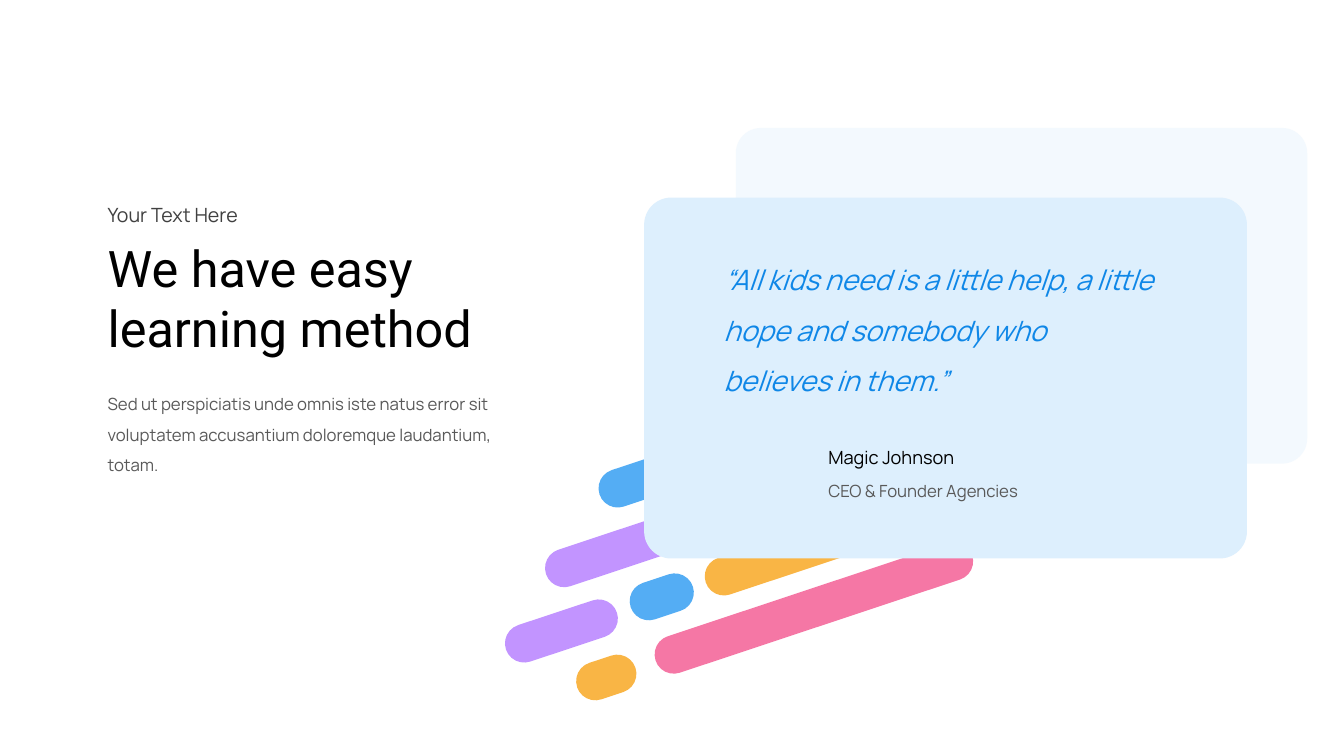
from dataclasses import dataclass
from lxml.etree import SubElement
from pptx import Presentation
from pptx.dml.color import RGBColor
from pptx.enum.shapes import MSO_SHAPE
from pptx.enum.text import MSO_AUTO_SIZE
from pptx.oxml.ns import qn
from pptx.util import Pt


@dataclass(frozen=True)
class Theme:
    head: str = "Roboto"
    body: str = "Manrope"
    black: str = "000000"
    dark: str = "404040"
    gray: str = "595959"
    quote: str = "0F87E7"
    card: str = "DDEFFD"
    blue: str = "54ADF4"
    violet: str = "C294FF"
    amber: str = "F9B545"
    pink: str = "F577A5"
    title: int = 36
    large: int = 20
    label: int = 14
    name: int = 13
    small: int = 12


T = Theme()
WIDE, HIGH = 960, 540
LEFT, INNER, SIGN = 69.8, 509.8, 584.6  # left edges of the text columns

# Cards: left, top, width, height
BACK = (525.6, 91.4, 408.2, 239.8)
FRONT = (460.1, 141.1, 430.6, 257.8)
ROUND = 0.075

# Slanted bars: left, top, width, colour
THICK, TILT = 27.4, 341.6
BARS = [
    (424.1, 313.9, 162, T.blue),
    (385.9, 370.8, 162, T.violet),
    (500.4, 379.4, 144.7, T.amber),
    (449.3, 412.6, 46.8, T.blue),
    (359.3, 437, 83.5, T.violet),
    (462.2, 420.5, 238.3, T.pink),
    (411.1, 470.2, 43.9, T.amber),
]

# Texts: lines, box, font, size, colour, wrapped, italic
INTRO = [
    (["We have easy", "learning method"], (LEFT, 165.6, 303.1, 94.3),
     T.head, T.title, T.black, False, False),
    (["Your Text Here"], (LEFT, 141.1, 115.9, 24.5),
     T.body, T.label, T.dark, False, False),
    (["Sed ut perspiciatis unde omnis iste natus error sit voluptatem "
      "accusantium doloremque laudantium, totam."],
     (LEFT, 270.7, 323.3, 70.6), T.body, T.small, T.gray, True, False),
]
QUOTE = [
    (["“All kids need is a little help, a little hope and somebody who "
      "believes in them.”"],
     (INNER, 172.1, 323.3, 113), T.body, T.large, T.quote, True, True),
    (["Magic Johnson"], (SIGN, 315.4, 115.2, 23),
     T.body, T.name, T.black, False, False),
    (["CEO & Founder Agencies"], (SIGN, 339.8, 163.4, 21.6),
     T.body, T.small, T.gray, False, False),
]


def pill(slide, box, color, bend, turn=0, alpha=None):
    shape = slide.shapes.add_shape(
        MSO_SHAPE.ROUNDED_RECTANGLE, *(Pt(v) for v in box))
    shape.adjustments[0] = bend
    shape.rotation = turn
    shape.shadow.inherit = False
    shape.line.fill.background()
    shape.fill.solid()
    shape.fill.fore_color.rgb = RGBColor.from_string(color)
    if alpha:
        tint = shape.fill._xPr.find(".//" + qn("a:srgbClr"))
        SubElement(tint, qn("a:alpha")).set("val", str(alpha * 1000))


def write(slide, lines, box, face, size, color, wrap, slant):
    frame = slide.shapes.add_textbox(*(Pt(v) for v in box)).text_frame
    frame.word_wrap = wrap
    frame.auto_size = MSO_AUTO_SIZE.SHAPE_TO_FIT_TEXT
    frame.text = "\n".join(lines)
    for para in frame.paragraphs:
        para.font.name = face
        para.font.size = Pt(size)
        para.font.italic = slant
        para.font.color.rgb = RGBColor.from_string(color)
        if wrap:
            para.line_spacing = 1.5


def main():
    deck = Presentation()
    deck.slide_width, deck.slide_height = Pt(WIDE), Pt(HIGH)
    slide = deck.slides.add_slide(deck.slide_layouts[6])

    # Pale card and bars behind
    pill(slide, BACK, T.card, ROUND, alpha=35)
    for left, top, width, color in BARS:
        pill(slide, (left, top, width, THICK), color, 0.5, TILT)

    # Heading column
    for item in INTRO:
        write(slide, *item)

    # Quote card in front
    pill(slide, FRONT, T.card, ROUND)
    for item in QUOTE:
        write(slide, *item)

    deck.save("out.pptx")


if __name__ == "__main__":
    main()
